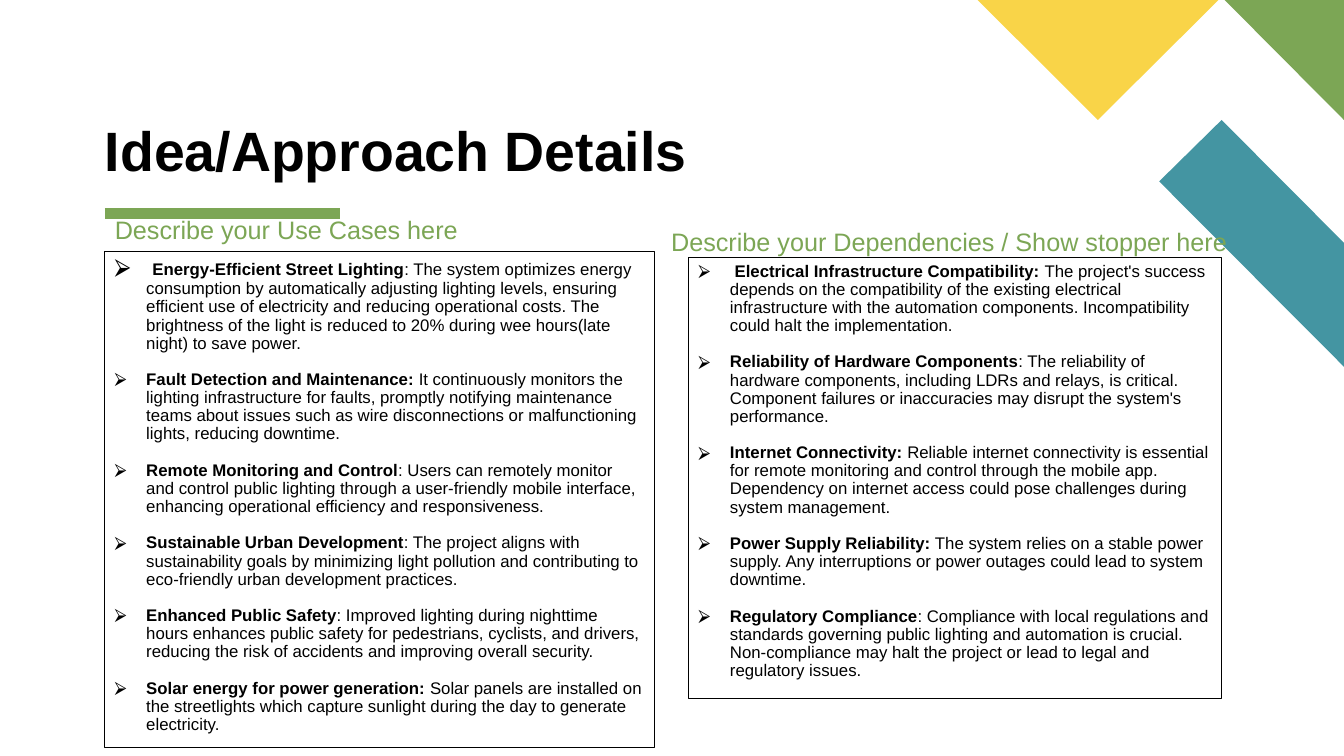
from dataclasses import dataclass

from lxml import etree
from pptx import Presentation
from pptx.dml.color import RGBColor
from pptx.enum.shapes import MSO_CONNECTOR, MSO_SHAPE
from pptx.enum.text import MSO_ANCHOR, MSO_AUTO_SIZE, PP_ALIGN
from pptx.oxml.ns import qn
from pptx.util import Pt

RECT = MSO_SHAPE.RECTANGLE
STRAIGHT = MSO_CONNECTOR.STRAIGHT
TOP, BOTTOM = MSO_ANCHOR.TOP, MSO_ANCHOR.BOTTOM
LEFT = PP_ALIGN.LEFT
NO_FIT = MSO_AUTO_SIZE.NONE

COLORS = {"green": "7CA655", "teal": "4495A2", "yellow": "F9D448", "black": "000000"}
FONT = "Arial"
BODY_SIZE = 12
ITEM_GAP = 13
BULLET_INDENT = 22.5
SIDES = ("left", "top", "right", "bottom")
INSETS = (7.2, 3.6, 7.2, 3.6)

Box = tuple[float, float, float, float]


@dataclass
class Polygon:
    color: str
    points: list[tuple[float, float]]


@dataclass
class Item:
    lead: str
    detail: str


@dataclass
class Column:
    heading: str
    heading_box: Box
    body_box: Box
    first_space_size: float
    items: list[Item]


POLYGONS = [
    Polygon("teal", [(960, 262), (960, 173.5), (872.6, 85.7), (828, 129.6)]),
    Polygon("green", [(960, 85.7), (960, 0), (874.8, 0)]),
    Polygon("yellow", [(698.4, 0), (784.2, 85.7), (870.4, 0)]),
]

COLUMNS = [
    Column("Describe your Use Cases here", (74.9, 152, 381, 44.6),
           (74.9, 179.4, 392.6, 354.4), 16, [
        Item("Energy-Efficient Street Lighting",
             ": The system optimizes energy consumption by automatically adjusting lighting "
             "levels, ensuring efficient use of electricity and reducing operational costs. "
             "The brightness of the light is reduced to 20% during wee hours(late night) to "
             "save power."),
        Item("Fault Detection and Maintenance: ",
             "It continuously monitors the lighting infrastructure for faults, promptly "
             "notifying maintenance teams about issues such as wire disconnections or "
             "malfunctioning lights, reducing downtime."),
        Item("Remote Monitoring and Control",
             ": Users can remotely monitor and control public lighting through a user-friendly "
             "mobile interface, enhancing operational efficiency and responsiveness."),
        Item("Sustainable Urban Development",
             ": The project aligns with sustainability goals by minimizing light pollution and "
             "contributing to eco-friendly urban development practices."),
        Item("Enhanced Public Safety",
             ": Improved lighting during nighttime hours enhances public safety for "
             "pedestrians, cyclists, and drivers, reducing the risk of accidents and improving "
             "overall security."),
        Item("Solar energy for power generation: ",
             "Solar panels are installed on the streetlights which capture sunlight during the "
             "day to generate electricity."),
    ]),
    Column("Describe your Dependencies / Show stopper here", (472.3, 160.6, 424.8, 26.6),
           (491.8, 184.1, 381, 315.2), 12, [
        Item("Electrical Infrastructure Compatibility: ",
             "The project's success depends on the compatibility of the existing electrical "
             "infrastructure with the automation components. Incompatibility could halt the "
             "implementation."),
        Item("Reliability of Hardware Components",
             ": The reliability of hardware components, including LDRs and relays, is critical. "
             "Component failures or inaccuracies may disrupt the system's performance."),
        Item("Internet Connectivity: ",
             "Reliable internet connectivity is essential for remote monitoring and control "
             "through the mobile app. Dependency on internet access could pose challenges "
             "during system management."),
        Item("Power Supply Reliability:",
             " The system relies on a stable power supply. Any interruptions or power outages "
             "could lead to system downtime."),
        Item("Regulatory Compliance",
             ": Compliance with local regulations and standards governing public lighting and "
             "automation is crucial. Non-compliance may halt the project or lead to legal and "
             "regulatory issues."),
    ]),
]


def rgb(name: str) -> RGBColor:
    return RGBColor.from_string(COLORS[name])


def set_attrs(target, values: dict) -> None:
    for name, value in values.items():
        setattr(target, name, value)


def place(s, box: Box) -> None:
    set_attrs(s, dict(zip(("left", "top", "width", "height"), map(Pt, box))))


def format_frame(tf, anchor, insets: Box) -> None:
    set_attrs(tf, {"word_wrap": True, "auto_size": NO_FIT, "vertical_anchor": anchor})
    set_attrs(tf, {f"margin_{side}": Pt(v) for side, v in zip(SIDES, insets)})


def format_paragraph(p, gap: float = 0) -> None:
    set_attrs(p, {"alignment": LEFT, "line_spacing": 0.9,
                  "space_before": Pt(0), "space_after": Pt(gap)})


def add_run(p, text: str, size: float, color: str = "black", bold: bool = False) -> None:
    r = p.add_run()
    r.text = text
    set_attrs(r.font, {"name": FONT, "size": Pt(size), "bold": bold})
    r.font.color.rgb = rgb(color)


def add_bullet(p) -> None:
    pPr = p._p.get_or_add_pPr()
    pPr.set("marL", str(Pt(BULLET_INDENT)))
    pPr.set("indent", str(-Pt(BULLET_INDENT)))
    color = etree.SubElement(pPr, qn("a:buClr"))
    etree.SubElement(color, qn("a:srgbClr"), val=COLORS["black"])
    etree.SubElement(pPr, qn("a:buFont"), typeface=FONT)
    etree.SubElement(pPr, qn("a:buChar"), char="⮚")


def add_polygon(shapes, polygon: Polygon) -> None:
    start, *rest = [(Pt(x), Pt(y)) for x, y in polygon.points]
    builder = shapes.build_freeform(*start)
    builder.add_line_segments(rest, close=True)
    s = builder.convert_to_shape()
    s.shadow.inherit = False
    s.fill.solid()
    s.fill.fore_color.rgb = rgb(polygon.color)
    s.line.fill.background()


def add_column(shapes, column: Column) -> None:
    # Heading
    tf = shapes.add_textbox(*map(Pt, column.heading_box)).text_frame
    format_frame(tf, TOP, INSETS)
    format_paragraph(tf.paragraphs[0])
    add_run(tf.paragraphs[0], column.heading, 18, "green")

    # Outlined box with bulleted items
    s = shapes.add_shape(RECT, *map(Pt, column.body_box))
    s.shadow.inherit = False
    s.fill.background()
    s.line.color.rgb = rgb("black")
    s.line.width = Pt(0.75)
    tf = s.text_frame
    format_frame(tf, TOP, INSETS)
    for i, item in enumerate(column.items):
        p = tf.add_paragraph() if i else tf.paragraphs[0]
        format_paragraph(p, ITEM_GAP)
        add_bullet(p)
        if i == 0:
            add_run(p, " ", column.first_space_size)
        add_run(p, item.lead, BODY_SIZE, bold=True)
        add_run(p, item.detail, BODY_SIZE)


def main() -> None:
    prs = Presentation()
    set_attrs(prs, {"slide_width": Pt(960), "slide_height": Pt(540)})
    slide = prs.slides.add_slide(prs.slide_layouts[5])
    shapes = slide.shapes

    # Title
    title = shapes.title
    place(title, (74.9, 86.4, 454.3, 44.6))
    format_frame(title.text_frame, BOTTOM, (0, 0, 0, 0))
    p = title.text_frame.paragraphs[0]
    format_paragraph(p)
    add_run(p, "Idea/Approach Details", 39.6, bold=True)

    # Rule under the title
    rule = shapes.add_connector(STRAIGHT, Pt(74.9), Pt(152.6), Pt(243.2), Pt(152.6))
    rule.line.color.rgb = rgb("green")
    rule.line.width = Pt(8)
    etree.SubElement(rule._element.spPr, qn("a:effectLst"))

    # Corner decoration
    for polygon in POLYGONS:
        add_polygon(shapes, polygon)

    # Text columns
    for column in COLUMNS:
        add_column(shapes, column)

    prs.save("out.pptx")


if __name__ == "__main__":
    main()
